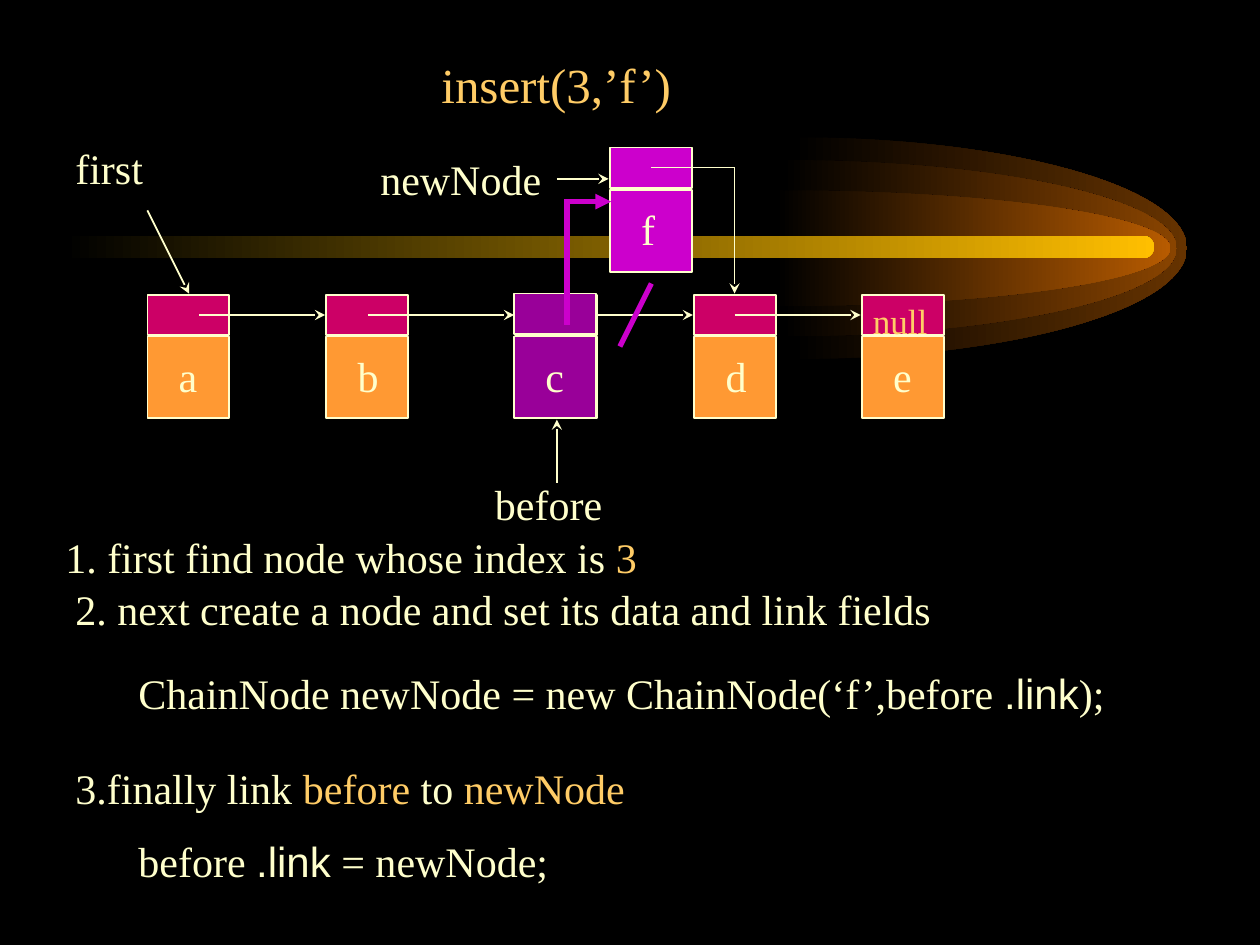
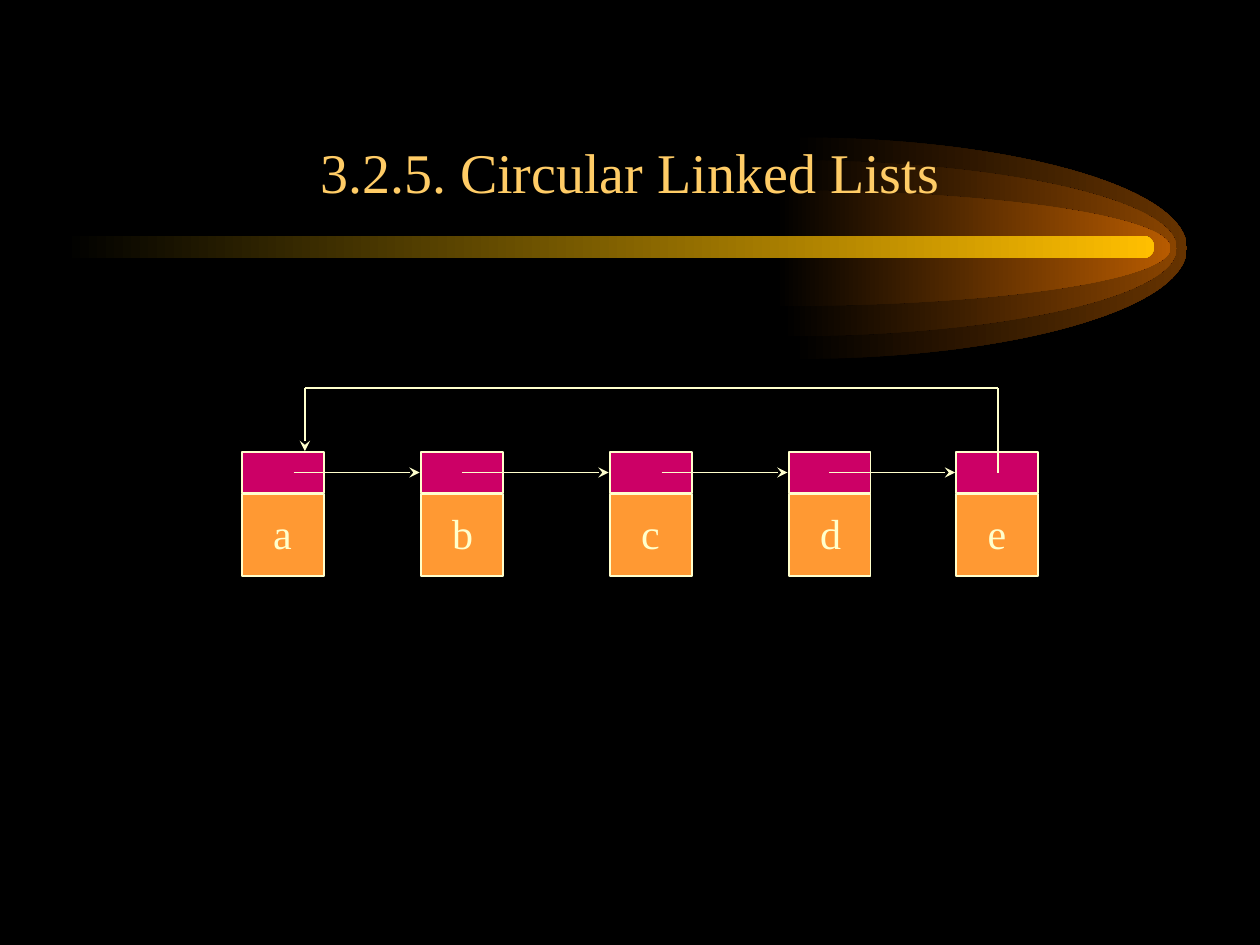
from itertools import pairwise

from pptx import Presentation
from pptx.dml.color import RGBColor
from pptx.enum.shapes import MSO_CONNECTOR, MSO_SHAPE
from pptx.enum.text import MSO_ANCHOR as Anchor, PP_ALIGN as Align
from pptx.oxml.ns import qn
from pptx.util import Inches, Pt
from lxml.etree import SubElement

BLACK = RGBColor(0x00, 0x00, 0x00)
CREAM = RGBColor(0xFF, 0xFF, 0xCC)
GOLD = RGBColor(0xFF, 0xCC, 0x66)
ORANGE = RGBColor(0xFF, 0x99, 0x33)
CRIMSON = RGBColor(0xCC, 0x00, 0x66)
MAGENTA = RGBColor(0xCC, 0x00, 0xCC)
PURPLE = RGBColor(0x99, 0x00, 0x99)
TAIL_YELLOW = RGBColor(0xFF, 0xBF, 0x00)
GLOW_OUTER = RGBColor(0x66, 0x33, 0x00)
GLOW_MIDDLE = RGBColor(0x89, 0x44, 0x00)
GLOW_INNER = RGBColor(0xB7, 0x5B, 0x00)

SERIF = "Times New Roman"
SANS = "Arial"
NODE_WIDTH = 0.65
LINK_HEIGHT = 0.32
LINK_MIDDLE = 0.16
GLOW_WIDTH = 3.13
ROUNDNESS = 0.55
CHAIN = [("a", 0, 0.41), ("b", 1.42, 0.33), ("c", 2.92, 0.41),
         ("d", 4.34, 0.32), ("e", 5.67, 0.33)]
GLOWS = [(5.79, 0.88, GLOW_OUTER), (5.71, 0.7, GLOW_MIDDLE),
         (5.66, 0.46, GLOW_INNER)]


def add_text(slide, box, runs, size=24, align=Align.LEFT, anchor=Anchor.TOP,
             wrap=True):
    shape = slide.shapes.add_textbox(*map(Inches, box))
    frame = shape.text_frame
    frame.word_wrap = wrap
    frame.vertical_anchor = anchor
    paragraph = frame.paragraphs[0]
    paragraph.alignment = align
    for text, color, font_name in runs:
        run = paragraph.add_run()
        run.text = text
        run.font.size = Pt(size)
        run.font.name = font_name
        run.font.color.rgb = color


def add_label(slide, box, text, **options):
    add_text(slide, box, [(text, CREAM, SERIF)], **options)


def add_title(slide, box, text, size, anchor):
    add_text(slide, box, [(text, GOLD, SERIF)], size, Align.CENTER, anchor)


def add_path(slide, points, color=CREAM, width=1, arrow="stealth"):
    for start, end in pairwise(points):
        line = slide.shapes.add_connector(
            MSO_CONNECTOR.STRAIGHT, *map(Inches, (*start, *end)))
        line.line.color.rgb = color
        line.line.width = Pt(width)
        properties = line._element.spPr
        SubElement(properties, qn("a:effectLst"))
        if arrow and end == points[-1]:
            outline = properties.find(qn("a:ln"))
            SubElement(outline, qn("a:tailEnd"), type=arrow)


def fade_from_black(shape, color):
    shape.shadow.inherit = False
    shape.line.fill.background()
    shape.fill.gradient()
    shape.fill.gradient_angle = 0
    for stop, stop_color in zip(shape.fill.gradient_stops, (BLACK, color)):
        stop.color.rgb = stop_color


def bend(segment, points):
    segment.tag = qn("a:cubicBezTo")
    segment.remove(segment[0])
    for x, y in points:
        SubElement(segment, qn("a:pt"), x=str(Inches(x)), y=str(Inches(y)))


def add_glow(slide, left, middle, radius, color):
    corners = [(left + GLOW_WIDTH, middle), (left, middle + radius),
               (left, middle)]
    builder = slide.shapes.build_freeform(Inches(left),
                                          Inches(middle - radius))
    builder.add_line_segments([(Inches(x), Inches(y)) for x, y in corners])
    shape = builder.convert_to_shape()
    upper, lower = list(shape._element.iter(qn("a:lnTo")))[:2]
    reach = GLOW_WIDTH * ROUNDNESS
    rise = radius * ROUNDNESS
    bend(upper, [(reach, 0), (GLOW_WIDTH, radius - rise),
                 (GLOW_WIDTH, radius)])
    bend(lower, [(GLOW_WIDTH, radius + rise), (reach, 2 * radius),
                 (0, 2 * radius)])
    fade_from_black(shape, color)


def add_comet(slide, left, middle):
    for offset, radius, color in GLOWS:
        add_glow(slide, left + offset, middle, radius, color)
    tail = slide.shapes.add_shape(
        MSO_SHAPE.ROUNDED_RECTANGLE,
        *map(Inches, (left, middle - 0.1, 8.66, 0.18)))
    tail.adjustments[0] = 0.5
    fade_from_black(tail, TAIL_YELLOW)


def add_node(slide, left, top, letter, data_color=ORANGE, link_color=CRIMSON,
             data_offset=0.33):
    for offset, height, color in ((data_offset, NODE_WIDTH, data_color),
                                  (0, LINK_HEIGHT, link_color)):
        cell = slide.shapes.add_shape(
            MSO_SHAPE.RECTANGLE,
            *map(Inches, (left, top + offset, NODE_WIDTH, height)))
        cell.shadow.inherit = False
        cell.fill.solid()
        cell.fill.fore_color.rgb = color
        cell.line.color.rgb = CREAM
        cell.line.width = Pt(1)
    if letter:
        add_label(slide, (left + 0.15, top + data_offset + 0.06, 0.35, 0.5),
                  letter, wrap=False)


def add_chain(slide, left, top, replaced=None):
    for letter, offset, _ in CHAIN:
        if letter == replaced:
            add_node(slide, left + offset, top, None, link_color=ORANGE)
        else:
            add_node(slide, left + offset, top, letter)
    for (_, offset, tail), (_, next_offset, _) in pairwise(CHAIN):
        middle = top + LINK_MIDDLE
        add_path(slide, [(left + offset + tail, middle),
                         (left + next_offset - 0.01, middle)])


def add_new_node(slide, left, top):
    add_node(slide, left, top, "f", MAGENTA, MAGENTA, 0.34)
    add_path(slide, [(left + 0.33, top + LINK_MIDDLE),
                     (left + 0.99, top + LINK_MIDDLE),
                     (left + 0.99, top + 1.16)])
    add_label(slide, (left - 1.92, top, 1.67, 0.5), "newNode")
    add_path(slide, [(left - 0.42, top + 0.25), (left - 0.01, top + 0.25)])


def add_before_node(slide, left, top):
    add_label(slide, (left - 0.25, top + 1.42, 2, 0.5), "before")
    add_path(slide, [(left + 0.34, top + 1.5), (left + 0.34, top + 1)])
    add_node(slide, left, top, "c", PURPLE, PURPLE, 0.34)


def add_relinking(slide, left, top):
    add_path(slide, [(left + 0.67, top + 0.67), (left + 0.42, top + 1.17)],
             MAGENTA, 3, None)
    add_path(slide, [(left, top + 1), (left, top)], MAGENTA, 3, None)
    add_path(slide, [(left + 0.02, top + 0.02), (left + 0.35, top + 0.02)],
             MAGENTA, 3, "triangle")


def add_steps(slide, left, top):
    steps = [
        (0, 0, [("1. first find node whose index is ", CREAM, SERIF),
                ("3", GOLD, SERIF)]),
        (0.08, 0.41, [("2. next create a node and set its data and link fields",
                       CREAM, SERIF)]),
        (0.58, 1.08, [("ChainNode newNode = new ChainNode(‘f’,before ",
                       CREAM, SERIF),
                      (".link", CREAM, SANS), (");", CREAM, SERIF)]),
        (0.08, 1.83, [("3.finally link ", CREAM, SERIF),
                      ("before ", GOLD, SERIF), ("to ", CREAM, SERIF),
                      ("newNode", GOLD, SERIF)]),
        (0.58, 2.41, [("before ", CREAM, SERIF), (".link", CREAM, SANS),
                      (" = newNode;", CREAM, SERIF)]),
    ]
    for indent, offset, runs in steps:
        add_text(slide, (left + indent, top + offset, 9 - indent, 0.5), runs)


def add_slide(presentation):
    slide = presentation.slides.add_slide(presentation.slide_layouts[6])
    add_comet(slide, 0.5, 1.97)
    return slide


def build_insert_slide(presentation):
    slide = add_slide(presentation)
    add_title(slide, (0.33, 0.25, 8.17, 0.83), "insert(3,’f’)", 28,
              Anchor.MIDDLE)
    add_chain(slide, 1.17, 2.34, replaced="c")
    add_text(slide, (6.83, 2.33, 0.67, 0.43), [("null", GOLD, SERIF)], 20)
    add_label(slide, (0.5, 1.08, 1.83, 0.5), "first")
    add_path(slide, [(1.17, 1.67), (1.5, 2.33)])
    add_new_node(slide, 4.84, 1.17)
    add_before_node(slide, 4.08, 2.33)
    add_relinking(slide, 4.5, 1.58)
    add_steps(slide, 0.42, 4.17)


def build_circular_slide(presentation):
    slide = add_slide(presentation)
    add_title(slide, (0.75, 0.42, 8.5, 1.25), "3.2.5. Circular Linked Lists",
              32, Anchor.BOTTOM)
    left, top = 1.92, 3.59
    add_chain(slide, left, top)
    add_path(slide, [(left + 6, top + LINK_MIDDLE), (left + 6, top - 0.51),
                     (left + 0.5, top - 0.51), (left + 0.5, top - 0.01)])


def main():
    presentation = Presentation()
    presentation.slide_width = Inches(10)
    presentation.slide_height = Inches(7.5)
    background = presentation.slide_master.background.fill
    background.solid()
    background.fore_color.rgb = BLACK
    build_insert_slide(presentation)
    build_circular_slide(presentation)
    presentation.save("out.pptx")


if __name__ == "__main__":
    main()
